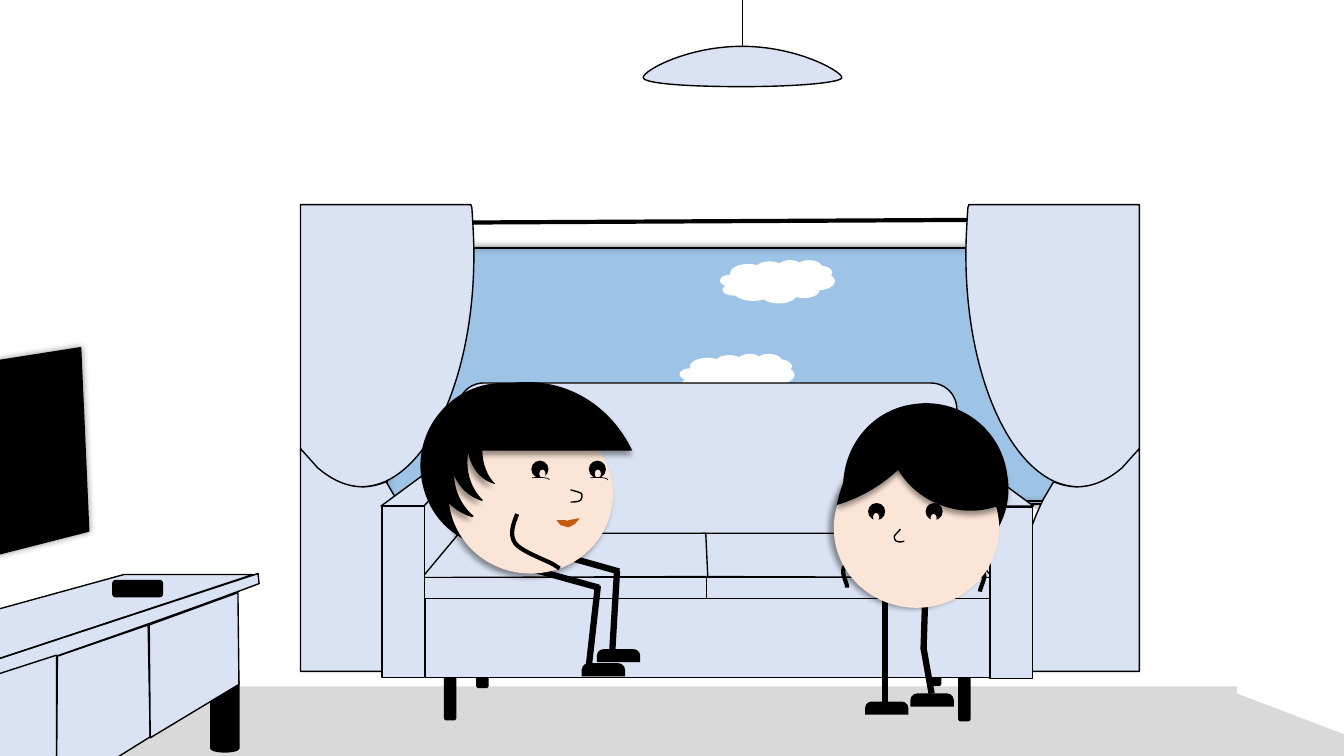
from lxml import etree
from pptx import Presentation
from pptx.dml.color import RGBColor
from pptx.enum.shapes import MSO_CONNECTOR, MSO_SHAPE as Preset
from pptx.oxml.ns import qn
from pptx.util import Inches, Pt

COLORS = {
    "floor": "D9D9D9", "wall": "FFFFFF", "sky": "9DC3E6", "fabric": "DAE3F3",
    "ink": "000000", "skin": "FBE5D6", "lips": "C55A11",
}
CURTAIN_AXIS = 7.14
SOFA_AXIS = 7.015
GLOW = (5, 0, 0)  # blur and distance in points, direction in degrees
DROP = (4, 3, 90)
DROP_LEFT_DOWN = (4, 3, 135)
DROP_LEFT = (4, 3, 180)


def rgb(name):
    return RGBColor.from_string(COLORS[name])


def style(shape, fill, line, width, shadow):
    if fill:
        shape.fill.solid()
        shape.fill.fore_color.rgb = rgb(fill)
    else:
        shape.fill.background()
    if line:
        shape.line.color.rgb = rgb(line)
        shape.line.width = Pt(width)
    else:
        shape.line.fill.background()
    shape.shadow.inherit = False
    if shadow:
        blur, distance, direction = shadow
        effects = shape._element.spPr.find(qn("a:effectLst"))
        outer = etree.SubElement(
            effects, qn("a:outerShdw"), blurRad=str(Pt(blur)), dist=str(Pt(distance)),
            dir=str(direction * 60000), rotWithShape="0")
        color = etree.SubElement(outer, qn("a:srgbClr"), val=COLORS["ink"])
        etree.SubElement(color, qn("a:alpha"), val="40000")


def preset(shapes, kind, box, fill=None, line=None, width=1, shadow=None, adjust=(), rotation=0):
    shape = shapes.add_shape(kind, *map(Inches, box))
    for index, value in enumerate(adjust):
        shape.adjustments[index] = value
    shape.rotation = rotation
    style(shape, fill, line, width, shadow)


def to_points(steps):
    """List every point of the steps, control points included."""
    return [(Inches(step[i]), Inches(step[i + 1])) for step in steps for i in range(0, len(step), 2)]


def bend(shape, contours):
    """Join the three segments of each six-number step into one Bézier curve."""
    segments = iter(list(shape._element.iter(qn("a:lnTo"))))
    for step in (step for contour in contours for step in contour[1:]):
        segment = next(segments)
        if len(step) == 6:
            segment.tag = qn("a:cubicBezTo")
            for extra in (next(segments), next(segments)):
                segment.append(extra[0])
                extra.getparent().remove(extra)


def outline(shapes, *contours, fill=None, line=None, width=1, shadow=None, close=True):
    """Draw contours of points (x, y) and Bézier steps (x1, y1, x2, y2, x, y)."""
    first, *others = map(to_points, contours)
    builder = shapes.build_freeform(*first[0], scale=1.0)
    builder.add_line_segments(first[1:], close=close)
    for points in others:
        builder.move_to(*points[0])
        builder.add_line_segments(points[1:], close=close)
    shape = builder.convert_to_shape()
    bend(shape, contours)
    style(shape, fill, line, width, shadow)


def fabric(shapes, *contours):
    outline(shapes, *contours, fill="fabric", line="ink")


def mirror(steps, axis):
    return [tuple(v if i % 2 else 2 * axis - v for i, v in enumerate(step)) for step in steps]


def stroke(shapes, start, end, width=4.5):
    connector = shapes.add_connector(MSO_CONNECTOR.STRAIGHT, *map(Inches, start + end))
    connector.line.color.rgb = rgb("ink")
    connector.line.width = Pt(width)
    etree.SubElement(connector._element.spPr, qn("a:effectLst"))


def shoe(shapes, left, top):
    preset(shapes, Preset.ROUND_2_SAME_RECTANGLE, (left, top, 0.43, 0.13), "ink", adjust=(0.5, 0))


def eye(shapes, pupil, glint):
    preset(shapes, Preset.OVAL, (*pupil, 0.17, 0.17), "ink")
    preset(shapes, Preset.OVAL, (*glint, 0.06, 0.08), "skin")


def add_room(shapes):
    preset(shapes, Preset.RECTANGLE, (1.69, 0.81, 11.39, 6), "wall")
    preset(shapes, Preset.RECTANGLE, (3.82, 2.46, 6.66, 2.54), "sky", "ink", 1.5, GLOW)
    for left, top in ((6.74, 3.51), (7.14, 2.58)):
        preset(shapes, Preset.CLOUD, (left, top, 1.14, 0.43), "wall")
    ceiling = [(-0.18, -1.38), (15.18, -1.38), (12.4, 0.87), (1.99, 0.87)]
    left_wall = [(-2.91, -1.4), (-0.14, -1.4), (0.11, -0.98, 1.79, 0.39, 1.98, 0.85),
                 (2.05, 6.91), (-2.91, 9.41)]
    right_wall = [(15.02, -1.38), (18.95, -1.38), (18.95, 9.42), (12.27, 6.88), (12.26, 0.81)]
    for surface in (ceiling, left_wall, right_wall):
        outline(shapes, surface, fill="wall")
    screen = [(-2.39, 3.95), (0.8, 3.45), (0.88, 5.27), (-2.18, 6.05)]
    outline(shapes, screen, fill="ink", line="ink", shadow=GLOW)


def add_window(shapes):
    preset(shapes, Preset.RECTANGLE, (3.84, 2.46, 6.68, 2.51), None, "ink", 1.5, GLOW)
    stroke(shapes, (4.21, 2.21), (9.94, 2.18), 3)
    drape = [(9.61, 2.03), (11.3, 2.03), (11.3, 4.46), (11.13, 4.65),
             (11, 4.77, 10.85, 4.83, 10.7, 4.83), (10.08, 4.83, 9.58, 3.8, 9.58, 2.53),
             (9.58, 2.37, 9.59, 2.21, 9.6, 2.06)]
    tail = [(11.3, 4.45), (11.3, 6.66), (10.01, 6.66), (10.01, 6.58),
            (10.01, 5.95, 10.14, 5.37, 10.35, 4.95), (10.45, 4.78),
            (10.53, 4.81, 10.6, 4.83, 10.68, 4.83), (10.84, 4.83, 10.99, 4.76, 11.13, 4.64)]
    for curtain in (drape, tail):
        fabric(shapes, curtain)
        fabric(shapes, mirror(curtain, CURTAIN_AXIS))


def add_cabinet(shapes):
    preset(shapes, Preset.CAN, (2.09, 6.73, 0.28, 0.73), "ink", "ink")
    top = [(1.23, 5.7), (2.51, 5.7), (-0.51, 6.7), (-2.4, 6.7)]
    edge = [(2.56, 5.69), (2.57, 5.79), (1.56, 6.17, 0.51, 6.52, -0.51, 6.89), (-0.51, 6.7)]
    fabric(shapes, top, edge)
    fabric(shapes, [(-0.52, 6.85), (0.56, 6.5), (0.56, 7.9), (-0.52, 8.53)])
    fabric(shapes, [(0.57, 6.51), (1.47, 6.2), (1.49, 7.31), (0.56, 7.89)])
    fabric(shapes, [(1.48, 6.2), (2.36, 5.88), (2.37, 6.79), (1.49, 7.32)])


def add_sofa(shapes):
    def leg(left, top):
        preset(shapes, Preset.ROUNDED_RECTANGLE, (left, top, 0.11, 0.52), "ink", "ink")

    def block(*box):
        preset(shapes, Preset.RECTANGLE, box, "fabric", "ink")

    arm_top = [(4.35, 4.6), (4.55, 4.64), (4.21, 5.02), (3.78, 5.02)]
    arm_inside = [(4.18, 5.05), (4.54, 4.65), (4.57, 5.27), (4.17, 5.75)]
    fabric(shapes, mirror(arm_top, SOFA_AXIS))
    fabric(shapes, arm_top)
    leg(9.22, 6.28)
    leg(4.73, 6.3)
    preset(shapes, Preset.ROUNDED_RECTANGLE, (4.54, 3.8, 4.95, 1.86), "fabric", "ink",
           adjust=(0.139,))
    fabric(shapes, [(6.96, 5.29), (9.51, 5.29), (9.86, 5.73), (6.96, 5.72)])
    fabric(shapes, [(4.52, 5.29), (7, 5.29), (7.02, 5.72), (4.11, 5.73)])
    block(4.21, 5.73, 2.81, 0.21)
    block(7.01, 5.73, 2.83, 0.21)
    leg(4.41, 6.62)
    leg(9.51, 6.63)
    block(4.22, 5.94, 5.68, 0.78)
    fabric(shapes, arm_inside)
    block(3.79, 5.02, 0.42, 1.7)
    fabric(shapes, mirror(arm_inside, SOFA_AXIS))
    block(9.82, 5.03, 0.42, 1.7)


def add_woman(shapes):
    back_hair = [(4.81, 3.82), (5.25, 3.72, 5.68, 4.01, 5.78, 4.45), (5.79, 4.54),
                 (5.61, 4.45, 5.42, 4.42, 5.23, 4.46), (4.85, 4.54, 4.58, 4.89, 4.59, 5.28),
                 (4.6, 5.35), (4.55, 5.32), (4.37, 5.21, 4.24, 5.03, 4.19, 4.8),
                 (4.09, 4.36, 4.37, 3.92, 4.81, 3.82)]
    outline(shapes, back_hair, fill="ink")
    stroke(shapes, (5.43, 5.47), (6.14, 5.67))
    stroke(shapes, (5.18, 5.62), (5.94, 5.83))
    stroke(shapes, (5.93, 5.81), (5.84, 6.61))
    preset(shapes, Preset.OVAL, (4.45, 4.12, 1.63, 1.57), "skin", shadow=DROP_LEFT_DOWN)
    shoe(shapes, 5.92, 6.44)
    shoe(shapes, 5.77, 6.58)
    arm = [(5.13, 5.1), (5.09, 5.2, 5.05, 5.3, 5.11, 5.39), (5.17, 5.47, 5.42, 5.56, 5.49, 5.6),
           (5.55, 5.64)]
    nose = [(5.66, 4.86), (5.7, 4.87, 5.77, 4.89, 5.77, 4.9), (5.78, 4.92, 5.77, 4.94, 5.76, 4.96),
            (5.74, 4.98, 5.7, 4.98, 5.66, 4.98)]
    outline(shapes, arm, line="ink", width=3, close=False)
    outline(shapes, nose, line="ink", close=False)
    eye(shapes, (5.27, 4.57), (5.35, 4.66))
    eye(shapes, (5.84, 4.57), (5.9, 4.66))
    stroke(shapes, (6.12, 5.66), (6.07, 6.51))
    lips = [(5.52, 5.16), (5.61, 5.16), (5.63, 5.17), (5.64, 5.16), (5.75, 5.14),
            (5.7, 5.2), (5.64, 5.23), (5.56, 5.21)]
    outline(shapes, lips, fill="lips")
    fringe = [(5.23, 3.79), (4.79, 3.79, 4.42, 4.04, 4.22, 4.41), (4.19, 4.47), (6.27, 4.47),
              (6.24, 4.41), (6.04, 4.04, 5.67, 3.79, 5.23, 3.79)]
    outline(shapes, fringe, fill="ink", shadow=DROP)
    strands = (
        [(4.99, 4.06), (5.15, 4.15), (4.88, 4.1, 4.61, 4.26, 4.53, 4.54),
         (4.46, 4.76, 4.54, 4.99, 4.7, 5.12), (4.68, 5.13),
         (4.39, 5.04, 4.23, 4.74, 4.32, 4.44), (4.41, 4.15, 4.71, 3.98, 4.99, 4.06)],
        [(5.07, 3.96), (5.2, 4.04), (4.97, 4, 4.74, 4.16, 4.66, 4.42),
         (4.6, 4.63, 4.66, 4.84, 4.79, 4.96), (4.78, 4.97),
         (4.53, 4.89, 4.4, 4.61, 4.48, 4.33), (4.56, 4.06, 4.83, 3.89, 5.07, 3.96)],
        [(5.17, 3.86), (5.29, 3.93), (5.09, 3.9, 4.88, 4.06, 4.81, 4.3),
         (4.75, 4.49, 4.8, 4.69, 4.91, 4.8), (4.9, 4.8),
         (4.69, 4.74, 4.58, 4.48, 4.66, 4.22), (4.74, 3.96, 4.97, 3.8, 5.17, 3.86)],
    )
    for strand in strands:
        outline(shapes, strand, fill="ink", shadow=DROP_LEFT_DOWN)


def add_man(shapes):
    stroke(shapes, (8.78, 5.74), (8.78, 7.03))
    shoe(shapes, 9.03, 6.88)
    shoe(shapes, 8.58, 6.96)
    stroke(shapes, (9.18, 5.81), (9.16, 6.44))
    stroke(shapes, (9.16, 6.43), (9.24, 6.88))
    back_hair = [(9.06, 4.01), (8.61, 4.07, 8.31, 4.49, 8.37, 4.95), (8.39, 5.04),
                 (8.53, 4.88, 8.7, 4.79, 8.89, 4.76), (9.28, 4.7, 9.65, 4.93, 9.78, 5.3),
                 (9.8, 5.37), (9.84, 5.33), (9.97, 5.16, 10.03, 4.94, 9.99, 4.71),
                 (9.93, 4.25, 9.51, 3.94, 9.06, 4.01)]
    outline(shapes, back_hair, fill="ink")
    right_arm = [(9.49, 5.5), (9.51, 5.52, 9.71, 5.61, 9.75, 5.67),
                 (9.79, 5.73, 9.72, 5.82, 9.72, 5.87)]
    left_arm = [(8.63, 5.46), (8.61, 5.48, 8.41, 5.57, 8.37, 5.63),
                (8.34, 5.7, 8.41, 5.79, 8.4, 5.83)]
    for arm in (right_arm, left_arm):
        outline(shapes, arm, line="ink", width=3, close=False)
    preset(shapes, Preset.OVAL, (8.27, 4.45, 1.64, 1.58), "skin", shadow=DROP_LEFT)
    nose = [(8.93, 5.25), (8.92, 5.27, 8.87, 5.31, 8.87, 5.32),
            (8.86, 5.34, 8.88, 5.36, 8.89, 5.37), (8.91, 5.38, 8.94, 5.38, 8.97, 5.37)]
    outline(shapes, nose, line="ink", close=False)
    eye(shapes, (9.18, 4.99), (9.23, 5.1))
    eye(shapes, (8.61, 4.99), (8.66, 5.09))
    right_fringe = [(9.37, 4.1), (9.18, 4.05, 8.99, 4.07, 8.82, 4.14), (8.8, 4.23),
                    (8.78, 4.59, 9.03, 4.94, 9.42, 5.04), (9.61, 5.09, 9.8, 5.07, 9.97, 4.99),
                    (9.99, 4.91), (10.01, 4.54, 9.75, 4.2, 9.37, 4.1)]
    left_fringe = [(8.93, 4.1), (8.85, 4.16), (8.57, 4.37, 8.37, 4.66, 8.3, 5.01),
                   (8.54, 4.94, 8.78, 4.8, 8.97, 4.6), (8.93, 4.43, 8.92, 4.33, 8.92, 4.22)]
    for fringe in (right_fringe, left_fringe):
        outline(shapes, fringe, fill="ink", shadow=DROP)


def add_lamp(shapes):
    stroke(shapes, (7.36, -0.07), (7.36, 0.73), 0.5)
    fabric(shapes, [(6.38, 0.77), (6.38, 0.7, 6.82, 0.46, 7.36, 0.46),
                    (7.91, 0.46, 8.35, 0.71, 8.35, 0.77), (8.35, 0.82, 7.91, 0.86, 7.36, 0.86),
                    (6.82, 0.86, 6.38, 0.83, 6.38, 0.77)])


def main():
    deck = Presentation()
    deck.slide_width, deck.slide_height = Inches(13.33), Inches(7.5)
    slide = deck.slides.add_slide(deck.slide_layouts[6])
    slide.background.fill.solid()
    slide.background.fill.fore_color.rgb = rgb("floor")
    shapes = slide.shapes
    add_room(shapes)
    for add_part in (add_window, add_cabinet, add_sofa, add_woman, add_man):
        add_part(shapes.add_group_shape().shapes)
    for lash_left in (5.69, 5.11):
        preset(shapes, Preset.ARC, (lash_left, 4.74, 0.34, 0.08), None, "ink", 0.5, rotation=353.9)
    preset(shapes, Preset.ROUNDED_RECTANGLE, (1.12, 5.76, 0.49, 0.16), "ink", "ink")
    add_lamp(shapes.add_group_shape().shapes)
    deck.save("out.pptx")


if __name__ == "__main__":
    main()
